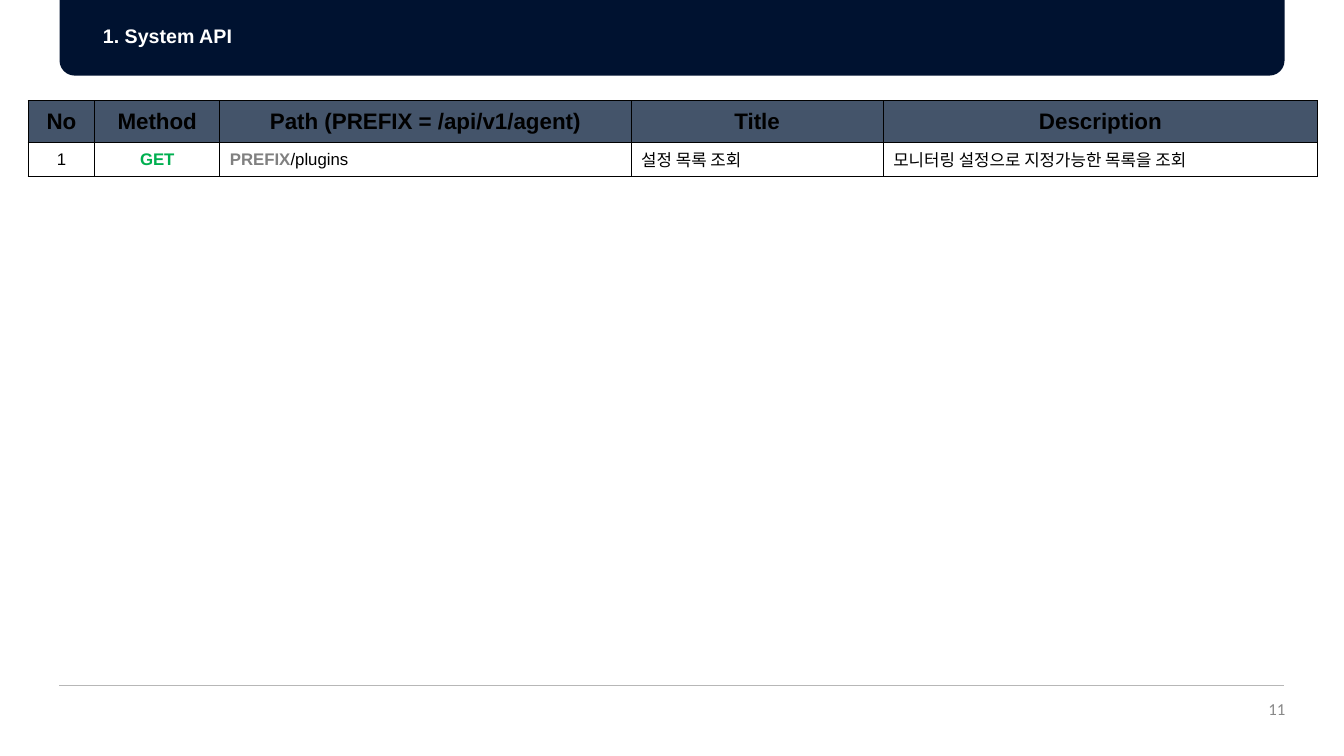
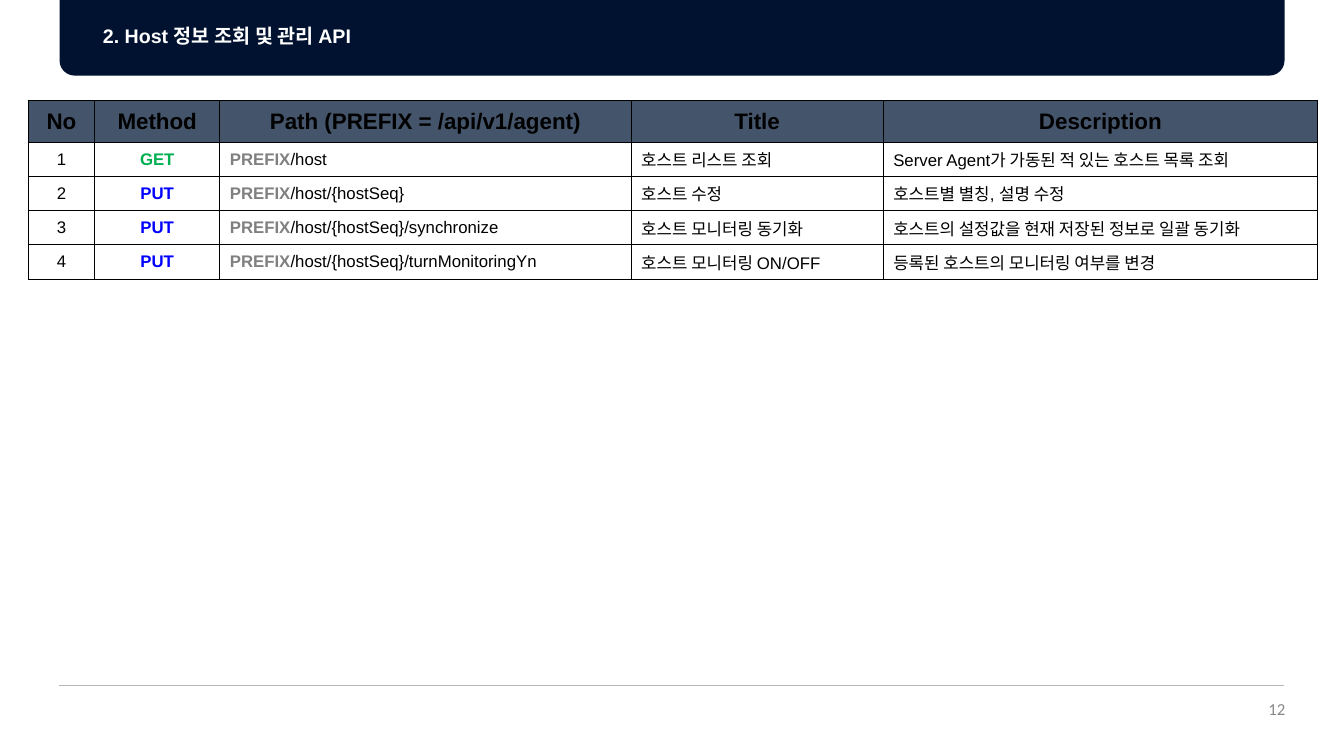
from pptx import Presentation
from pptx.dml.color import RGBColor
from pptx.enum.shapes import MSO_CONNECTOR, MSO_SHAPE
from pptx.enum.text import MSO_ANCHOR, PP_ALIGN
from pptx.oxml import parse_xml
from pptx.oxml.ns import nsdecls
from pptx.oxml.xmlchemy import OxmlElement
from pptx.util import Inches, Pt

LEFT, CENTER, RIGHT = PP_ALIGN.LEFT, PP_ALIGN.CENTER, PP_ALIGN.RIGHT
MIDDLE, TOP = MSO_ANCHOR.MIDDLE, MSO_ANCHOR.TOP

# Content
HEADERS = ["No", "Method", "Path (PREFIX = /api/v1/agent)", "Title", "Description"]
FIRST_PAGE = 11
SLIDES = [
    ("1. System API", [
        ("GET", "/plugins", "설정 목록 조회", "모니터링 설정으로 지정가능한 목록을 조회"),
    ]),
    ("2. Host 정보 조회 및 관리 API", [
        ("GET", "/host", "호스트 리스트 조회", "Server Agent가 가동된 적 있는 호스트 목록 조회"),
        ("PUT", "/host/{hostSeq}", "호스트 수정", "호스트별 별칭, 설명 수정"),
        ("PUT", "/host/{hostSeq}/synchronize", "호스트 모니터링 동기화",
         "호스트의 설정값을 현재 저장된 정보로 일괄 동기화"),
        ("PUT", "/host/{hostSeq}/turnMonitoringYn", "호스트 모니터링 ON/OFF",
         "등록된 호스트의 모니터링 여부를 변경"),
    ]),
]

# Style
COLORS = {
    "band": "001230", "rule": "B7B7B7", "page": "888888", "white": "FFFFFF",
    "header": "44546A", "text": "000000", "prefix": "808080",
    "GET": "00B050", "PUT": "0000FF",
}
TITLE_STYLE = {"size": Pt(14), "name": "Arial", "bold": True}
HEADER_STYLE = {"size": Pt(16), "name": "Arial", "bold": True}
BODY_STYLE = {"size": Pt(12), "name": "Arial", "bold": False}
STRONG_STYLE = {**BODY_STYLE, "bold": True}
PAGE_STYLE = {"size": Pt(12), "name": "Calibri", "bold": False}

# Layout, in inches
WIDTH, HEIGHT = 13.33, 7.5
MARGIN = 0.59
BAND_WIDTH, BAND_HEIGHT = WIDTH - 2 * MARGIN, 0.75
RULE_TOP = 6.8
TABLE_LEFT, TABLE_TOP = 0.28, 1
COLUMNS = [0.66, 1.24, 4.08, 2.5, 4.31]
ALIGNMENTS = [CENTER, CENTER, LEFT, LEFT, LEFT]
HEADER_HEIGHT, ROW_HEIGHT = 0.41, 0.34


def box(*lengths):
    return [Inches(length) for length in lengths]


def color(name):
    return RGBColor.from_string(COLORS[name])


def write(frame, runs, alignment=LEFT):
    """Fill the first paragraph with (text, style, colour name) runs."""
    paragraph = frame.paragraphs[0]
    paragraph.alignment = alignment
    for text, style, color_name in runs:
        run = paragraph.add_run()
        run.text = text
        for name, value in style.items():
            setattr(run.font, name, value)
        run.font.color.rgb = color(color_name)
    return paragraph


def add_band_and_rule(slide, layout):
    """Draw the shared parts and hand them to the layout."""
    band = slide.shapes.add_shape(MSO_SHAPE.ROUND_2_SAME_RECTANGLE,
                                  *box(MARGIN, 0, BAND_WIDTH, BAND_HEIGHT))
    band.adjustments[0], band.adjustments[1] = 0, 0.2
    band.shadow.inherit = False
    band.fill.solid()
    band.fill.fore_color.rgb = color("band")
    band.line.fill.background()

    rule = slide.shapes.add_connector(
        MSO_CONNECTOR.STRAIGHT, *box(MARGIN, RULE_TOP, WIDTH - MARGIN, RULE_TOP))
    rule.line.color.rgb = color("rule")
    rule.line.width = Pt(0.75)
    rule._element.spPr.append(OxmlElement("a:effectLst"))

    for shape in (band, rule):
        layout.shapes._spTree.append(shape._element)


def add_title(slide, text):
    title = slide.shapes.title
    title.left, title.top, title.width, title.height = box(0.92, 0, 11.5, 0.74)
    title.text_frame.vertical_anchor = MIDDLE
    write(title.text_frame, [(text, TITLE_STYLE, "white")]).line_spacing = 0.9


def add_page_number(slide, number):
    frame = slide.shapes.add_textbox(*box(11.85, 6.92, 0.9, 0.22)).text_frame
    frame.word_wrap = True
    frame.vertical_anchor = TOP
    frame.margin_left = frame.margin_right = frame.margin_bottom = 0
    frame.margin_top = Inches(0.01)
    write(frame, [(str(number), PAGE_STYLE, "page")], RIGHT)


def add_borders(cell):
    properties = cell._tc.get_or_add_tcPr()
    for side in ("lnL", "lnR", "lnT", "lnB"):
        properties.append(parse_xml(
            f'<a:{side} {nsdecls("a")} w="{Pt(1)}"><a:solidFill>'
            f'<a:srgbClr val="{COLORS["text"]}"/></a:solidFill></a:{side}>'))


def body_row(number, endpoint):
    method, route, title, description = endpoint
    return [
        [(str(number), BODY_STYLE, "text")],
        [(method, STRONG_STYLE, method)],
        [("PREFIX", STRONG_STYLE, "prefix"), (route, BODY_STYLE, "text")],
        [(title, BODY_STYLE, "text")],
        [(description, BODY_STYLE, "text")],
    ]


def add_endpoint_table(slide, endpoints):
    rows = [[[(header, HEADER_STYLE, "text")] for header in HEADERS]]
    rows += [body_row(number, endpoint) for number, endpoint in enumerate(endpoints, 1)]
    heights = [HEADER_HEIGHT] + [ROW_HEIGHT] * len(endpoints)
    table = slide.shapes.add_table(
        len(rows), len(COLUMNS),
        *box(TABLE_LEFT, TABLE_TOP, sum(COLUMNS), sum(heights))).table
    table.first_row = table.horz_banding = False
    for column, width in zip(table.columns, COLUMNS):
        column.width = Inches(width)
    for row_index, (row, height) in enumerate(zip(rows, heights)):
        table.rows[row_index].height = Inches(height)
        for column_index, runs in enumerate(row):
            cell = table.cell(row_index, column_index)
            cell.vertical_anchor = MIDDLE
            add_borders(cell)
            if row_index == 0:
                cell.fill.solid()
                cell.fill.fore_color.rgb = color("header")
            else:
                cell.fill.background()
            alignment = ALIGNMENTS[column_index] if row_index else CENTER
            write(cell.text_frame, runs, alignment)


def main():
    presentation = Presentation()
    presentation.slide_width, presentation.slide_height = box(WIDTH, HEIGHT)
    layout = presentation.slide_layouts[5]
    for index, (title, endpoints) in enumerate(SLIDES):
        slide = presentation.slides.add_slide(layout)
        if index == 0:
            add_band_and_rule(slide, layout)
        add_title(slide, title)
        add_page_number(slide, FIRST_PAGE + index)
        add_endpoint_table(slide, endpoints)
    presentation.save("out.pptx")


if __name__ == "__main__":
    main()
